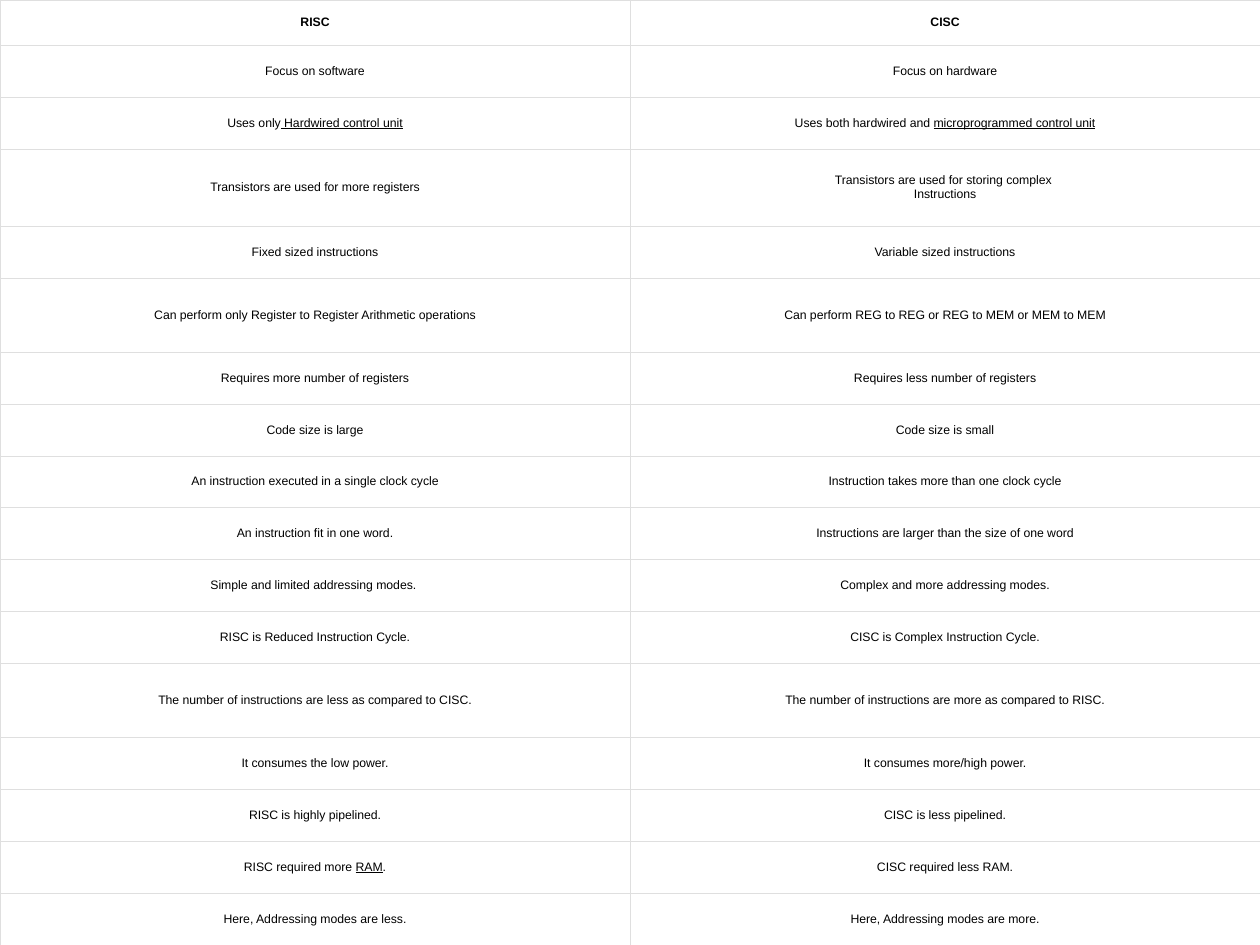
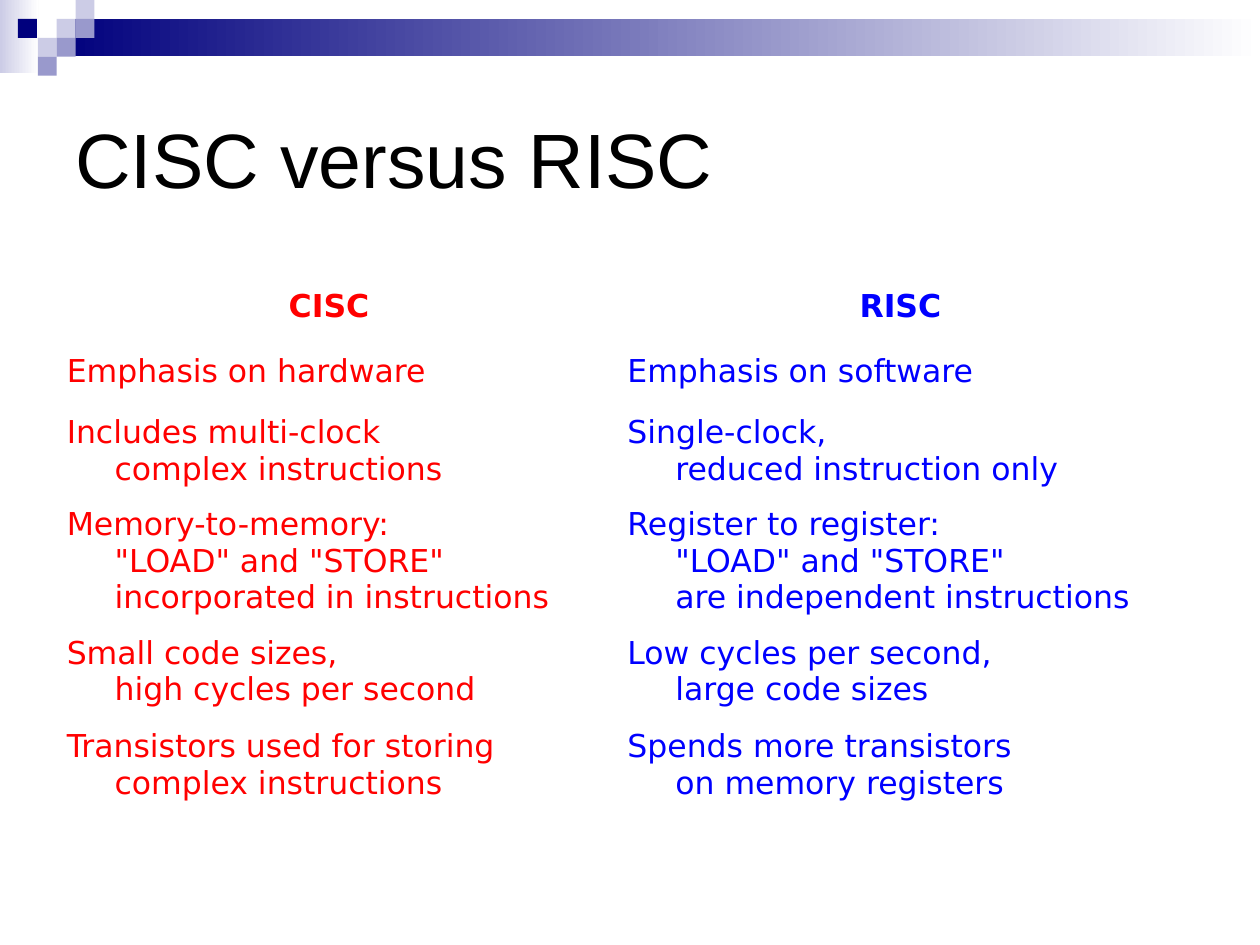
from dataclasses import dataclass

from lxml import etree
from pptx import Presentation
from pptx.dml.color import RGBColor
from pptx.enum.shapes import MSO_SHAPE
from pptx.enum.text import MSO_ANCHOR, PP_ALIGN
from pptx.oxml.ns import qn
from pptx.util import Inches, Pt

RECTANGLE = MSO_SHAPE.RECTANGLE
MIDDLE = MSO_ANCHOR.MIDDLE
CENTER = PP_ALIGN.CENTER
LEFT = PP_ALIGN.LEFT

WIDTH, HEIGHT = 10, 7.5
UNIT = 0.15
BLANK_LAYOUT = 6
BLACK, WHITE, RED, BLUE = "000000", "FFFFFF", "FF0000", "0000FF"
NAVY, LAVENDER, PERIWINKLE = "00007D", "CCCCE6", "9999CC"
GRID_GRAY = "DFDFDF"
BORDER_WIDTH = Pt(0.06)
BORDER_SIDES = ("a:lnL", "a:lnR", "a:lnT", "a:lnB")


@dataclass(frozen=True)
class Tile:
    column: float
    row: float
    colour: str
    columns: float = 1
    rows: float = 1
    fades: bool = False


@dataclass(frozen=True)
class TextStyle:
    font: str
    size: float
    colour: str = BLACK
    bold: bool = False


@dataclass(frozen=True)
class TableStyle:
    font: str
    size: float
    column_colours: tuple[str, str]
    side_inset: float
    body_alignment: PP_ALIGN
    hanging: float = 0
    fill: str | None = None
    border: str | None = None


BAND_TILES = (
    Tile(0, 0, LAVENDER, 2.05, 3.85, fades=True),
    Tile(3, 1, NAVY, WIDTH / UNIT - 3, 1.95, fades=True),
    Tile(3, 1, LAVENDER),
    Tile(4, 0, LAVENDER),
    Tile(4, 1, PERIWINKLE),
    Tile(2, 2, LAVENDER),
    Tile(0.95, 1, NAVY),
    Tile(3, 2, PERIWINKLE),
    Tile(2, 3, PERIWINKLE),
)

TITLE_STYLE = TextStyle("Arial", 44)
DETAIL_STYLE = TableStyle("Arial", 7, (BLACK, BLACK), 0.04, CENTER, fill=WHITE, border=GRID_GRAY)
SUMMARY_STYLE = TableStyle("DejaVu Sans", 18, (RED, BLUE), 0.1, LEFT, hanging=0.38)

UNDERLINE_MARK = "_"
DETAIL_ROWS = (
    ("RISC", "CISC"),
    ("Focus on software", "Focus on hardware"),
    ("Uses only_ Hardwired control unit_", "Uses both hardwired and _microprogrammed control unit_"),
    ("Transistors are used for more registers", "Transistors are used for storing complex \nInstructions"),
    ("Fixed sized instructions", "Variable sized instructions"),
    (
        "Can perform only Register to Register Arithmetic operations",
        "Can perform REG to REG or REG to MEM or MEM to MEM",
    ),
    ("Requires more number of registers", "Requires less number of registers"),
    ("Code size is large", "Code size is small"),
    ("An instruction executed in a single clock cycle", "Instruction takes more than one clock cycle"),
    ("An instruction fit in one word.", "Instructions are larger than the size of one word"),
    ("Simple and limited addressing modes. ", "Complex and more addressing modes."),
    ("RISC is Reduced Instruction Cycle.", "CISC is Complex Instruction Cycle."),
    (
        "The number of instructions are less as compared to CISC.",
        "The number of instructions are more as compared to RISC.",
    ),
    ("It consumes the low power.", "It consumes more/high power."),
    ("RISC is highly pipelined.", "CISC is less pipelined."),
    ("RISC required more _RAM_.", "CISC required less RAM."),
    ("Here, Addressing modes are less.", "Here, Addressing modes are more."),
)
DETAIL_SPECIAL_HEIGHTS = {0: 0.36, 3: 0.61, 5: 0.59, 12: 0.59}

SUMMARY_ROWS = (
    ("CISC ", "RISC "),
    ("Emphasis on hardware", "Emphasis on software"),
    ("Includes multi-clock\ncomplex instructions", "Single-clock,\nreduced instruction only"),
    (
        'Memory-to-memory:\n"LOAD" and "STORE"\nincorporated in instructions',
        'Register to register:\n"LOAD" and "STORE"\nare independent instructions',
    ),
    ("Small code sizes,\nhigh cycles per second", "Low cycles per second,\nlarge code sizes"),
    ("Transistors used for storing\ncomplex instructions", "Spends more transistors\non memory registers"),
)
SUMMARY_HEIGHTS = (0.52, 0.52, 0.74, 1.01, 0.74, 0.75)


def colour_of(value: str) -> RGBColor:
    return RGBColor.from_string(value)


def format_runs(paragraph, style: TextStyle) -> None:
    for run in paragraph.runs:
        run.font.name = style.font
        run.font.size = Pt(style.size)
        run.font.bold = style.bold
        run.font.color.rgb = colour_of(style.colour)
    for line_break in paragraph._p.findall(qn("a:br")):
        etree.SubElement(line_break, qn("a:rPr")).set("sz", str(int(style.size * 100)))


def write_marked_text(paragraph, text: str) -> None:
    if UNDERLINE_MARK not in text:
        paragraph.text = text
        return
    for index, part in enumerate(text.split(UNDERLINE_MARK)):
        if part:
            run = paragraph.add_run()
            run.text = part
            run.font.underline = index % 2 == 1


def add_tile(slide, tile: Tile):
    position = [Inches(UNIT * value) for value in (tile.column, tile.row, tile.columns, tile.rows)]
    shape = slide.shapes.add_shape(RECTANGLE, *position)
    shape.shadow.inherit = False
    shape.line.fill.background()
    if tile.fades:
        shape.fill.gradient()
        shape.fill.gradient_angle = 0
        for stop, colour in zip(shape.fill.gradient_stops, (tile.colour, WHITE)):
            stop.color.rgb = colour_of(colour)
    else:
        shape.fill.solid()
        shape.fill.fore_color.rgb = colour_of(tile.colour)
    return shape


def add_band_to_layout(slide) -> None:
    layout_tree = slide.slide_layout.shapes._spTree
    for tile in BAND_TILES:
        layout_tree.append(add_tile(slide, tile)._element)


def add_title(slide, text: str) -> None:
    box = slide.shapes.add_textbox(
        Inches(WIDTH * 0.05), Inches(HEIGHT / 15), Inches(WIDTH * 0.9), Inches(HEIGHT * 0.2)
    )
    text_frame = box.text_frame
    text_frame.word_wrap = True
    text_frame.vertical_anchor = MIDDLE
    text_frame.text = text
    format_runs(text_frame.paragraphs[0], TITLE_STYLE)


def add_borders(cell, colour: str) -> None:
    properties = cell._tc.get_or_add_tcPr()
    for index, side in enumerate(BORDER_SIDES):
        line = etree.Element(qn(side), w=str(int(BORDER_WIDTH)))
        fill = etree.SubElement(line, qn("a:solidFill"))
        etree.SubElement(fill, qn("a:srgbClr")).set("val", colour)
        properties.insert(index, line)


def fill_cell(cell, text: str, style: TableStyle, colour: str, is_header: bool) -> None:
    cell.vertical_anchor = MIDDLE
    cell.margin_left = cell.margin_right = Inches(style.side_inset)
    cell.margin_top = cell.margin_bottom = Inches(0.05)
    if style.fill:
        cell.fill.solid()
        cell.fill.fore_color.rgb = colour_of(style.fill)
    else:
        cell.fill.background()
    if style.border:
        add_borders(cell, style.border)
    paragraph = cell.text_frame.paragraphs[0]
    write_marked_text(paragraph, text)
    paragraph.alignment = CENTER if is_header else style.body_alignment
    if style.hanging:
        properties = paragraph._p.get_or_add_pPr()
        properties.set("marL", str(Inches(style.hanging)))
        properties.set("indent", str(-Inches(style.hanging)))
    format_runs(paragraph, TextStyle(style.font, style.size, colour, is_header))


def add_comparison(slide, left, top, widths, heights, rows, style: TableStyle) -> None:
    frame = slide.shapes.add_table(
        len(rows), len(widths), Inches(left), Inches(top), Inches(sum(widths)), Inches(sum(heights))
    )
    table = frame.table
    table.first_row = table.horz_banding = False
    for column, width in zip(table.columns, widths):
        column.width = Inches(width)
    for row_index, (row, height, texts) in enumerate(zip(table.rows, heights, rows)):
        row.height = Inches(height)
        for cell, text, colour in zip(row.cells, texts, style.column_colours):
            fill_cell(cell, text, style, colour, row_index == 0)


def detail_heights() -> list[float]:
    remaining = HEIGHT - sum(DETAIL_SPECIAL_HEIGHTS.values())
    regular = remaining / (len(DETAIL_ROWS) - len(DETAIL_SPECIAL_HEIGHTS))
    return [DETAIL_SPECIAL_HEIGHTS.get(index, regular) for index in range(len(DETAIL_ROWS))]


def add_blank_slide(presentation):
    return presentation.slides.add_slide(presentation.slide_layouts[BLANK_LAYOUT])


def build_detail_slide(presentation) -> None:
    slide = add_blank_slide(presentation)
    add_band_to_layout(slide)
    widths = (WIDTH / 2, WIDTH / 2)
    add_comparison(slide, 0, 0, widths, detail_heights(), DETAIL_ROWS, DETAIL_STYLE)


def build_summary_slide(presentation) -> None:
    slide = add_blank_slide(presentation)
    add_title(slide, "CISC versus RISC")
    add_comparison(slide, 0.43, 2.17, (4.45, 4.62), SUMMARY_HEIGHTS, SUMMARY_ROWS, SUMMARY_STYLE)


def main() -> None:
    presentation = Presentation()
    presentation.slide_width = Inches(WIDTH)
    presentation.slide_height = Inches(HEIGHT)
    build_detail_slide(presentation)
    build_summary_slide(presentation)
    presentation.save("out.pptx")


if __name__ == "__main__":
    main()
